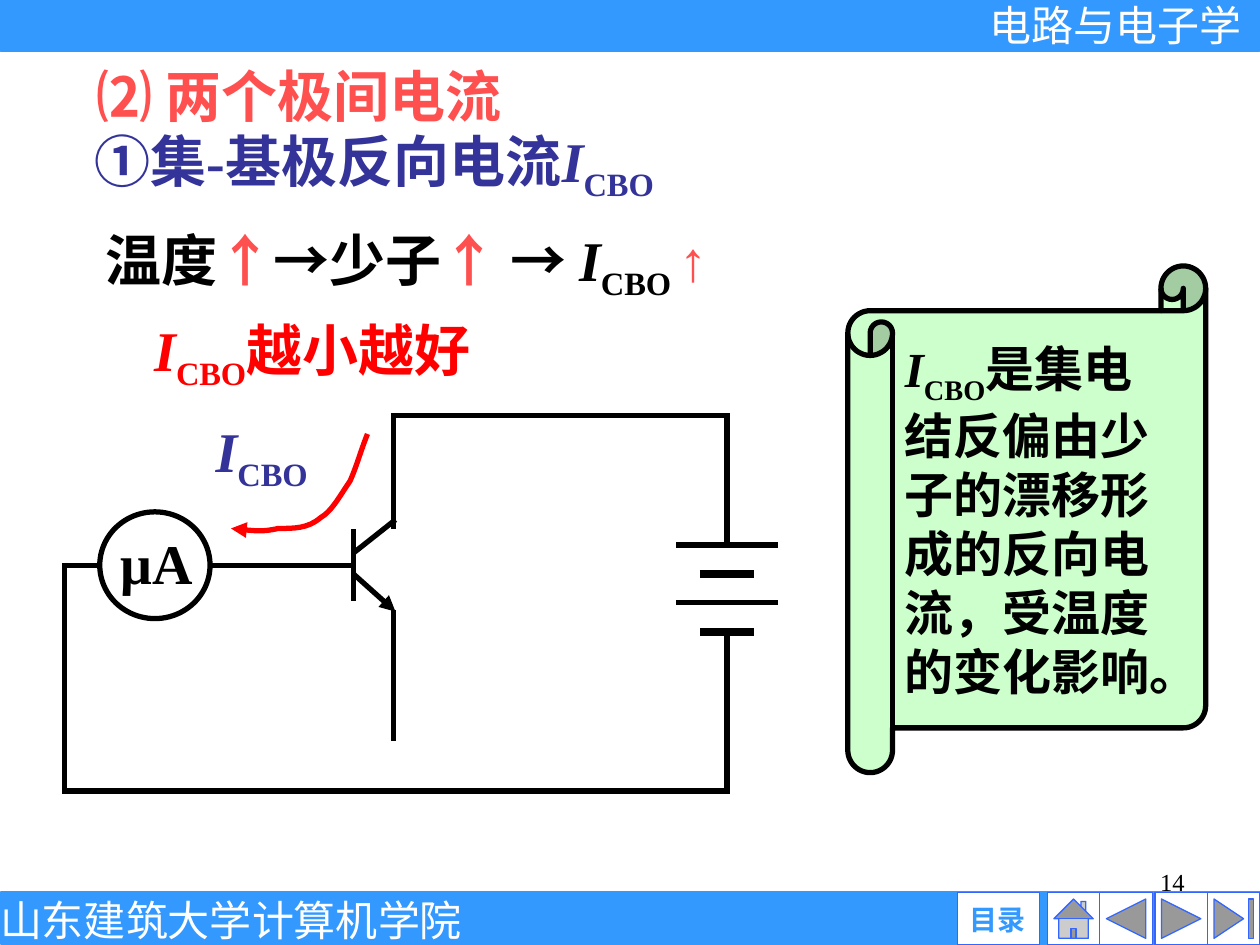
from lxml.etree import SubElement
from pptx import Presentation
from pptx.dml.color import RGBColor
from pptx.enum.shapes import MSO_CONNECTOR, MSO_SHAPE
from pptx.enum.text import MSO_ANCHOR, MSO_AUTO_SIZE, PP_ALIGN
from pptx.oxml.ns import qn
from pptx.util import Pt

BLACK = RGBColor(0, 0, 0)
WHITE = RGBColor(255, 255, 255)
BLUE = RGBColor(0x33, 0x99, 0xFF)
EDGE = RGBColor(0x33, 0x66, 0xFF)
NAVY = RGBColor(0x33, 0x33, 0x99)
CORAL = RGBColor(0xFF, 0x50, 0x50)
RED = RGBColor(255, 0, 0)
MINT = RGBColor(0xCC, 0xFF, 0xCC)
SERIF, SANS = "Times New Roman", "Arial"
ITALIC, SUB = "italic", "sub"


def write(shape, runs, size, color, align=PP_ALIGN.LEFT, face=SERIF,
          bold=True, inset=True, anchor=MSO_ANCHOR.MIDDLE):
    """Each run is (text, style or None, optional own colour)."""
    frame = shape.text_frame
    margin = {"margin_left": 7.2, "margin_right": 7.2,
              "margin_top": 3.6, "margin_bottom": 3.6}
    for name, value in margin.items():
        setattr(frame, name, Pt(value if inset else 0))
    frame.word_wrap = True
    frame.vertical_anchor = anchor
    para = frame.paragraphs[0]
    para.alignment = align
    for text, style, *own in runs:
        run = para.add_run()
        run.text = text
        look = {"name": face, "size": Pt(size), "bold": bold,
                "italic": style == ITALIC}
        for name, value in look.items():
            setattr(run.font, name, value)
        run.font.color.rgb = own[0] if own else color
        if style == SUB:
            run.font._element.set("baseline", "-25000")


def label(shapes, box, runs, size, color, **style):
    text = shapes.add_textbox(*map(Pt, box))
    write(text, runs, size, color, **style)
    text.text_frame.auto_size = MSO_AUTO_SIZE.SHAPE_TO_FIT_TEXT


def draw(shapes, kind, box, fill, line, width):
    shape = shapes.add_shape(kind, *map(Pt, box))
    shape.shadow.inherit = False
    if fill is None:
        shape.fill.background()
    else:
        shape.fill.solid()
        shape.fill.fore_color.rgb = fill
    shape.line.color.rgb = line
    shape.line.width = Pt(width)
    return shape


def add_head(shape):
    SubElement(shape.line._get_or_add_ln(), qn("a:tailEnd"), type="triangle")


def wire(shapes, x1, y1, x2, y2, width=3):
    line = shapes.add_connector(MSO_CONNECTOR.STRAIGHT,
                                Pt(x1), Pt(y1), Pt(x2), Pt(y2))
    line.line.color.rgb = BLACK
    line.line.width = Pt(width)
    SubElement(line._element.spPr, qn("a:effectLst"))
    return line


def curve(shapes, points, color):
    """Bezier arrow: a start point, then three points for each segment."""
    build = shapes.build_freeform(*points[0], scale=Pt(1))
    build.add_line_segments(points[1:], close=False)
    shape = build.convert_to_shape()
    shape.shadow.inherit = False
    shape.fill.background()
    shape.line.color.rgb = color
    shape.line.width = Pt(3)
    add_head(shape)
    steps = list(shape._element.iter(qn("a:lnTo")))
    track = steps[0].getparent()
    for i in range(0, len(steps), 3):
        bend = SubElement(track, qn("a:cubicBezTo"))
        for step in steps[i:i + 3]:
            bend.append(step[0])
            track.remove(step)


def symbol(after=()):
    return [("I", ITALIC), ("CBO", SUB), *after]


def header(shapes, left, top, width, height):
    draw(shapes, MSO_SHAPE.RECTANGLE, (left, top, width, height), BLUE, BLUE, 3)
    label(shapes, (left + 549, top - 0.5, 176, 29), [("电路与电子学", None)], 24,
          WHITE, align=PP_ALIGN.CENTER, face=SANS, bold=False, inset=False)


def footer(shapes, left, top, width, height):
    label(shapes, (left + 516, top - 18, 168, 37), [("14", None)], 14, BLACK,
          align=PP_ALIGN.RIGHT, bold=False, anchor=MSO_ANCHOR.TOP)
    draw(shapes, MSO_SHAPE.RECTANGLE, (left + 1, top + 0.5, width, 28),
         BLUE, BLUE, 3)
    for x, kind in ((690, MSO_SHAPE.ACTION_BUTTON_END),
                    (660, MSO_SHAPE.ACTION_BUTTON_FORWARD_OR_NEXT),
                    (628.5, MSO_SHAPE.ACTION_BUTTON_BACK_OR_PREVIOUS),
                    (598.5, MSO_SHAPE.ACTION_BUTTON_HOME)):
        draw(shapes, kind, (left + x, top, height, height), WHITE, EDGE, 0.75)
    group = shapes.add_group_shape().shapes
    draw(group, MSO_SHAPE.ACTION_BUTTON_CUSTOM, (left + 547, top, 47, height),
         WHITE, EDGE, 0.75)
    label(group, (left + 547, top + 5.5, 45.5, 19.5), [("目录", None)], 16, BLUE,
          align=PP_ALIGN.CENTER, face=SANS, inset=False)
    label(shapes, (left, top + 1, 264, 29), [("山东建筑大学计算机学院", None)], 24,
          WHITE, align=PP_ALIGN.CENTER, bold=False, inset=False)


def notes(shapes, left, top):
    rows = [
        (1, 0, 390, CORAL, [("⑵ 两个极间电流", None)]),
        (0, 39.5, 460, NAVY, [("①集-基极反向电流", None), *symbol()]),
        (6, 96.5, 415, BLACK, [
            ("温度", None), ("↑", None, CORAL), ("→少子", None),
            ("↑ ", None, CORAL), ("→ ", None), ("I", ITALIC),
            ("CBO ", SUB), ("↑", None, CORAL)]),
        (34, 147.5, 290, RED, symbol([("越小越好", None)])),
    ]
    for x, y, width, color, runs in rows:
        label(shapes, (left + x, top + y, width, 45), runs, 32, color)


def scroll(shapes, *box):
    shape = draw(shapes, MSO_SHAPE.HORIZONTAL_SCROLL, box, MINT, BLACK, 3)
    shape.adjustments[0] = 0.125
    text = "是集电结反偏由少子的漂移形成的反向电流，受温度的变化影响。"
    write(shape, symbol([(text, None)]), 28, BLACK)


def circuit(shapes, left, top, width, height):
    group = shapes.add_group_shape().shapes
    mid, base, pole, half = 85.5, 165, 188, 1.5
    lines = [
        (83, mid, base, mid), (0, mid, 20, mid),
        (base, 65, base, 106), (base, 78.5, pole + 1, 59.5),
        (pole, -half, pole, 65), (pole, 111, pole, 186),
        (pole, 0, width, 0), (width, -half, width, 74),
        (width, 123.5, width, height + half), (0, height, width, height),
        (0, mid - half, 0, height + half),
    ]
    for x1, y1, x2, y2 in lines:
        wire(group, left + x1, top + y1, left + x2, top + y2)
    add_head(wire(group, left + base, top + 90.5, left + pole + 1, top + 112))
    for i in range(4):
        reach, weight = ((29, 3), (15.5, 4.5))[i % 2]
        y = top + 74 + 16.5 * i
        wire(group, left + width - reach, y, left + width + reach, y, weight)

    draw(group, MSO_SHAPE.OVAL, (left + 20, top + 55, 63, 61), None, BLACK, 3)
    label(group, (left + 21, top + 61, 63, 45), [("μA", None)], 32, BLACK,
          align=PP_ALIGN.CENTER)
    label(group, (left + 72.5, top, 80, 45), symbol(), 32, NAVY,
          align=PP_ALIGN.CENTER)
    flow = [(172.5, 10.5), (169.5, 20), (167, 28.5), (162.5, 37.5),
            (158, 45), (152.5, 54.5), (146, 59), (139.5, 64), (131, 64),
            (122, 64.5), (113.5, 66), (104, 65.5), (95, 64.5)]
    curve(group, [(left + x, top + y) for x, y in flow], RED)


def main():
    deck = Presentation()
    deck.slide_width, deck.slide_height = Pt(720), Pt(540)
    shapes = deck.slides.add_slide(deck.slide_layouts[6]).shapes
    footer(shapes, 0, 510, 719, 30)
    header(shapes, 0.5, 0, 719, 28)
    notes(shapes, 47, 32)
    scroll(shapes, 484.5, 152, 204.5, 289.5)
    circuit(shapes, 37, 237.5, 378.5, 214.5)
    deck.save("out.pptx")


if __name__ == "__main__":
    main()
